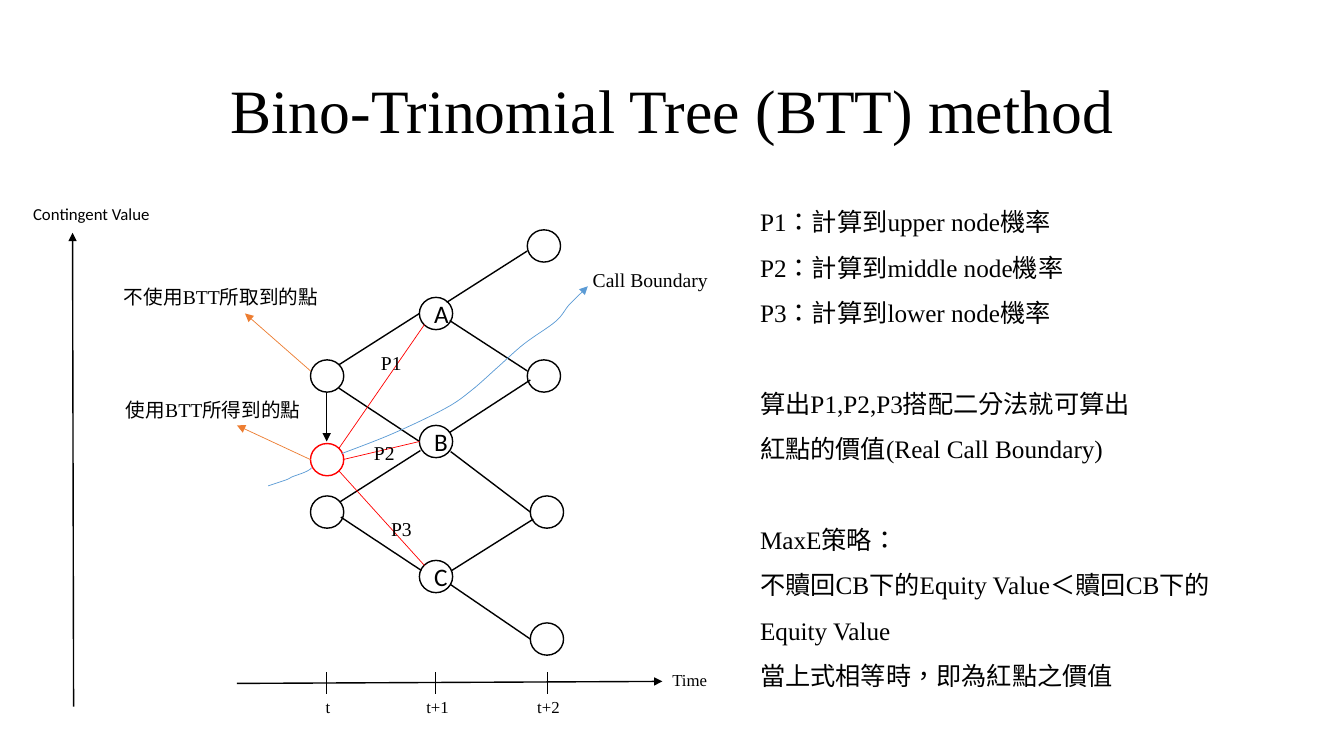
import pptx
import pptx.util
import pptx.dml.color
import pptx.enum.shapes
import pptx.enum.text
import pptx.oxml.ns
from lxml import etree

Inches, Pt = pptx.util.Inches, pptx.util.Pt
RGB = pptx.dml.color.RGBColor
Align = pptx.enum.text.PP_ALIGN
Anchor = pptx.enum.text.MSO_ANCHOR
Fit = pptx.enum.text.MSO_AUTO_SIZE
qn = pptx.oxml.ns.qn

BLACK = RGB(0, 0, 0)
WHITE = RGB(255, 255, 255)
RED = RGB(255, 0, 0)
BLUE = RGB(0x5B, 0x9B, 0xD5)
ORANGE = RGB(0xED, 0x7D, 0x31)
SERIF, SANS, HAN = "Times New Roman", "Calibri", "Noto Sans CJK TC"
NODE_W, NODE_H = 0.33, 0.32


def smooth(pts, steps=8):
    """Return points of a Catmull-Rom curve through pts."""
    ends = [pts[0], *pts, pts[-1]]
    out = [pts[0]]
    for a, b, c, d in zip(ends, ends[1:], ends[2:], ends[3:]):
        for i in range(1, steps + 1):
            t = i / steps
            out.append(tuple(
                0.5 * (2 * q + (r - p) * t + (2 * p - 5 * q + 4 * r - s) * t ** 2
                       + (3 * q - p - 3 * r + s) * t ** 3)
                for p, q, r, s in zip(a, b, c, d)))
    return out


class Board:
    def __init__(self, slide):
        self.shapes = slide.shapes

    def style(self, para, size, font, align=Align.LEFT, lead=None):
        para.alignment = align
        if lead:
            para.line_spacing = lead
        face = para.font
        face.size, face.name = Pt(size), font
        face.color.rgb = BLACK
        props = para._p.pPr.find(qn("a:defRPr"))
        props.set("lang", "zh-TW")
        east = etree.Element(qn("a:ea"), typeface=HAN)
        props.find(qn("a:latin")).addnext(east)

    def text(self, box, lines, size=14, font=SERIF, wrap=False, fit=Fit.SHAPE_TO_FIT_TEXT,
             align=Align.LEFT, anchor=Anchor.TOP, lead=None, gaps=()):
        """Add a text box; gaps lists the lines with an empty line's space above."""
        frame = self.shapes.add_textbox(*map(Inches, box)).text_frame
        frame.word_wrap, frame.auto_size = wrap, fit
        frame.vertical_anchor = anchor
        for i, line in enumerate(lines):
            para = frame.paragraphs[0] if i == 0 else frame.add_paragraph()
            para.text = line
            self.style(para, size, font, align, lead)
            if i in gaps:
                para.space_before = Pt(32.5)

    def node(self, x, y, name="", color=BLACK):
        oval = self.shapes.add_shape(
            pptx.enum.shapes.MSO_SHAPE.OVAL, Inches(x), Inches(y),
            Inches(NODE_W), Inches(NODE_H))
        oval.shadow.inherit = False
        oval.fill.solid()
        oval.fill.fore_color.rgb = WHITE
        oval.line.color.rgb, oval.line.width = color, Pt(1)
        if name:
            frame = oval.text_frame
            frame.vertical_anchor = Anchor.MIDDLE
            frame.text = name
            self.style(frame.paragraphs[0], 18, SANS, Align.CENTER)

    def line(self, x1, y1, x2, y2, color=BLACK, width=1, arrow=False):
        link = self.shapes.add_connector(
            pptx.enum.shapes.MSO_CONNECTOR.STRAIGHT, *map(Inches, (x1, y1, x2, y2)))
        link.line.color.rgb, link.line.width = color, Pt(width)
        if arrow:
            etree.SubElement(link.line._get_or_add_ln(), qn("a:tailEnd"), type="triangle")
        etree.SubElement(link._element.spPr, qn("a:effectLst"))

    def curve(self, pts):
        first, *rest = [(Inches(x), Inches(y)) for x, y in smooth(pts)]
        pen = self.shapes.build_freeform(*first)
        pen.add_line_segments(rest, close=False)
        bend = pen.convert_to_shape()
        bend.shadow.inherit = False
        bend.fill.background()
        bend.line.color.rgb, bend.line.width = BLUE, Pt(0.5)


NODES = [
    (3.08, 3.57, ""), (3.08, 4.92, ""),
    (4.16, 4.22, "B"), (4.16, 2.95, "A"), (4.16, 5.56, "C"),
    (5.23, 3.57, ""), (5.23, 2.28, ""), (5.26, 4.92, ""), (5.26, 6.18, ""),
]
EDGES = [
    (3.36, 3.85, 4.16, 4.38), (3.38, 5.13, 4.18, 5.66), (3.37, 4.98, 4.17, 4.47),
    (4.43, 3, 5.23, 2.49), (4.46, 4.29, 5.26, 3.77), (4.48, 5.66, 5.29, 5.15),
    (3.36, 3.62, 4.16, 3.11), (4.46, 3.18, 5.23, 3.68), (4.47, 4.48, 5.26, 5.08),
    (4.47, 5.8, 5.26, 6.34),
]
RAYS = [(3.36, 4.45, 4.21, 3.22), (3.4, 4.56, 4.16, 4.38), (3.36, 4.67, 4.21, 5.61)]
BOUND = [(3.39, 4.5), (3.9, 4.3), (4.42, 4.05), (4.68, 3.87), (4.94, 3.64),
         (5.2, 3.41), (5.51, 3.19), (5.64, 3.03), (5.76, 2.91)]
START = [(2.66, 4.82), (2.84, 4.76), (2.9, 4.73), (3.01, 4.69), (3.07, 4.66), (3.09, 4.64)]
ARROWS = [
    (5.76, 2.91, 5.83, 2.84, BLUE, 0.5), (2.35, 6.78, 6.57, 6.76, BLACK, 1),
    (3.08, 3.68, 2.43, 3.11, ORANGE, 0.5), (3.08, 4.56, 2.35, 4.22, ORANGE, 0.5),
    (0.73, 7.01, 0.72, 2.31, BLACK, 1), (3.24, 3.89, 3.24, 4.38, BLACK, 0.5),
]
TICKS = [(3.24, 3.13, 0.25, "t"), (4.32, 4.13, 0.43, "t+1"), (5.43, 5.23, 0.43, "t+2")]
ODDS = [(3.68, 3.43, "P1"), (3.61, 4.33, "P2"), (3.78, 5.08, "P3")]
NOTES = [
    "P1：計算到upper node機率",
    "P2：計算到middle node機率",
    "P3：計算到lower node機率",
    "算出P1,P2,P3搭配二分法就可算出\v紅點的價值(Real Call Boundary)",
    "MaxE策略：",
    "不贖回CB下的Equity Value＜贖回CB下的Equity Value",
    "當上式相等時，即為紅點之價值",
]


def main():
    deck = pptx.Presentation()
    deck.slide_width, deck.slide_height = Inches(13.33), Inches(7.5)
    board = Board(deck.slides.add_slide(deck.slide_layouts[6]))

    board.text((0.92, 0.4, 11.5, 1.45), ["Bino-Trinomial Tree (BTT) method"], 44, wrap=True,
               fit=Fit.NONE, align=Align.CENTER, anchor=Anchor.MIDDLE, lead=0.9)
    for node in NODES:
        board.node(*node)
    board.node(3.08, 4.4, color=RED)
    for edge in EDGES:
        board.line(*edge)
    for ray in RAYS:
        board.line(*ray, RED, 0.5)
    board.curve(BOUND)
    board.curve(START)
    for arrow in ARROWS:
        board.line(*arrow, arrow=True)

    for x, left, width, name in TICKS:
        board.line(x, 6.67, x, 6.89)
        board.text((left, 6.86, width, 0.3), [name], 12)
    board.text((6.57, 6.6, 0.55, 0.3), ["Time"], 12)
    board.text((0.23, 1.97, 1.37, 0.3), ["Contingent Value"], 12, SANS)
    board.text((5.78, 2.61, 1.35, 0.34), ["Call Boundary"])
    board.text((1.13, 2.78, 2.14, 0.34), ["不使用BTT所取到的點"], wrap=True)
    board.text((1.15, 3.9, 1.95, 0.34), ["使用BTT所得到的點"], wrap=True)
    for x, y, name in ODDS:
        board.text((x, y, 0.41, 0.34), [name])
    board.text((7.44, 1.85, 4.98, 5.25), NOTES, 18, wrap=True, lead=1.5, gaps=(3, 4))
    deck.save("out.pptx")


if __name__ == "__main__":
    main()
